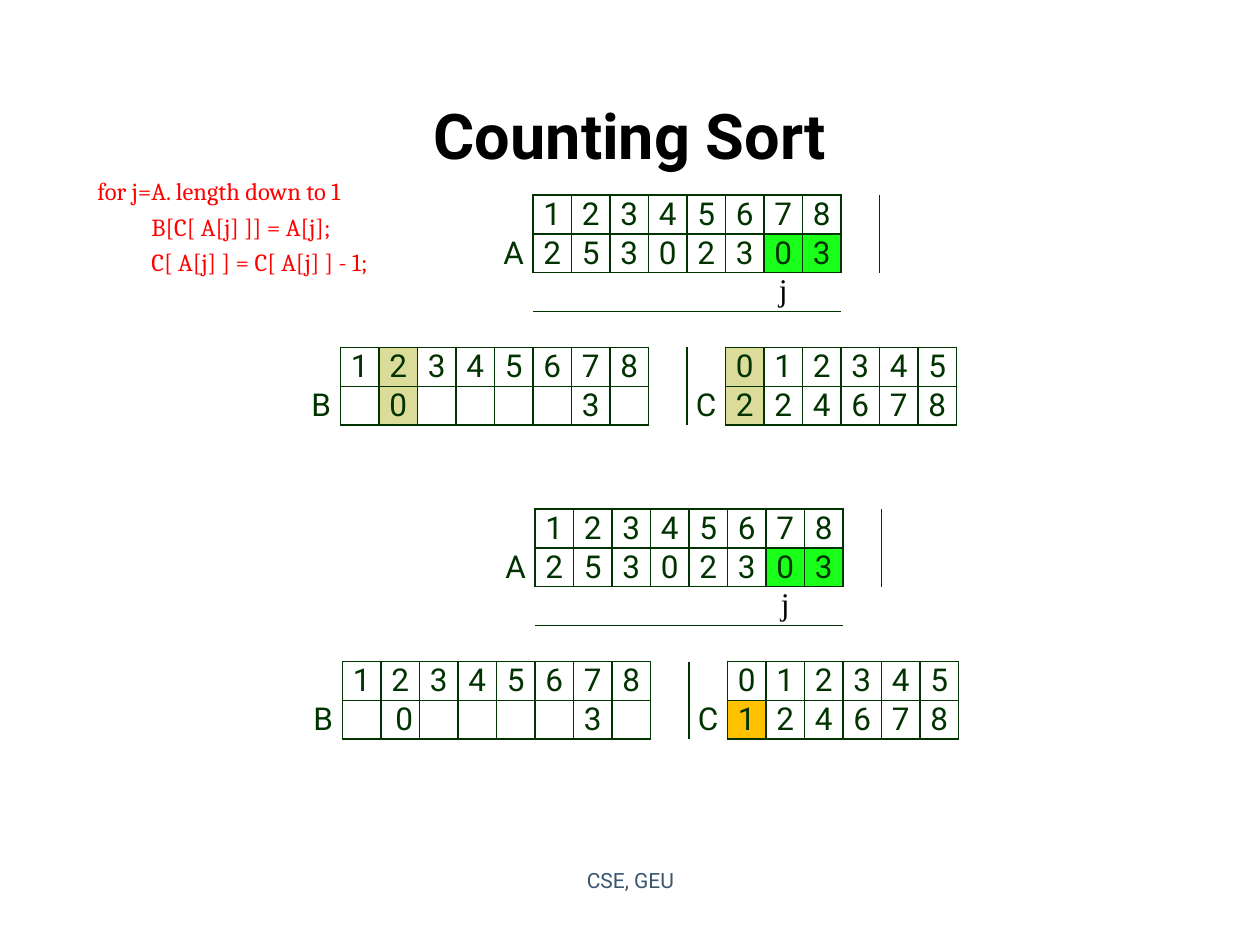
from dataclasses import dataclass

from lxml import etree
from pptx import Presentation
from pptx import util as u
from pptx.dml.color import RGBColor
from pptx.enum import text as t
from pptx.oxml.ns import qn


@dataclass(frozen=True)
class Theme:
    ink: str = "003300"
    black: str = "000000"
    code: str = "FF0000"
    foot: str = "3A566E"
    green: str = "1AFF1A"
    sand: str = "DCDC9A"
    gold: str = "FFC000"
    sans: str = "Roboto"
    serif: str = "Times New Roman"
    mono: str = "Cambria"
    head: int = 36
    cell: int = 18
    body: int = 14
    small: int = 12
    line: int = 1


TH = Theme()

TITLE = "Counting Sort"
CODE = [
    ("for j=A. length down to 1", 0),
    ("B[C[ A[j] ]] = A[j];", 1),
    ("C[ A[j] ] = C[ A[j] ] - 1;", 1),
]
FOOT = "CSE, GEU"

# Arrays: name, (row, column) of the first index, indices, values
A = ("A", (0, 6), "12345678", "25302303")
B = ("B", (4, 1), "12345678", ["", "0", "", "", "", "", "3", ""])
B_NEXT = (*B[:3], ["", " 0", "", "", "", "", "3", ""])
C = ("C", (4, 11), "012345", "224678")
C_NEXT = (*C[:3], "124678")
POINT = (2, 12)

DONE = {(1, 12): TH.green, (1, 13): TH.green}
STEPS = [
    dict(left=302, top=195, arrays=[A, B, C],
         fills={**DONE, (4, 2): TH.sand, (5, 2): TH.sand,
                (4, 11): TH.sand, (5, 11): TH.sand}),
    dict(left=304, top=509, arrays=[A, B_NEXT, C_NEXT],
         fills={**DONE, (5, 11): TH.gold}),
]
ROWS = [38, 38, 36, 36, 38, 38]
COLS = 17
WIDE = 655


def px(n):
    return u.Emu(round(n * 914400 / 126))


def write(par, words, size=TH.cell, font=TH.sans, color=TH.ink, bold=False,
          align=t.PP_ALIGN.CENTER):
    par.alignment = align
    run = par.add_run()
    run.text = words
    run.font.size = u.Pt(size)
    run.font.name = font
    run.font.bold = bold
    run.font.color.rgb = RGBColor.from_string(color)


def add_box(slide, x, y, w, h, anchor=t.MSO_ANCHOR.TOP):
    frame = slide.shapes.add_textbox(px(x), px(y), px(w), px(h)).text_frame
    frame.word_wrap = True
    frame.vertical_anchor = anchor
    return frame


def find_rules(arrays):
    """Grid lines of each array, plus one more line to its right and below."""
    rules = set()
    for _, (row, col), keys, _ in arrays:
        n = len(keys)
        rules |= {("v", r, c) for r in (row, row + 1)
                  for c in range(col, col + n + 2)}
        rules |= {("h", r, c) for r in range(row, row + 4)
                  for c in range(col, col + n)}
    return rules


def set_edges(cell, row, col, rules):
    sides = [("L", ("v", row, col)), ("R", ("v", row, col + 1)),
             ("T", ("h", row, col)), ("B", ("h", row + 1, col))]
    props = cell._tc.get_or_add_tcPr()
    for i, (side, rule) in enumerate(sides):
        line = etree.Element(qn("a:ln" + side), w=str(u.Pt(TH.line)))
        if rule in rules:
            fill = etree.SubElement(line, qn("a:solidFill"))
            etree.SubElement(fill, qn("a:srgbClr"), val=TH.ink)
        else:
            etree.SubElement(line, qn("a:noFill"))
        props.insert(i, line)


def add_step(slide, left, top, arrays, fills):
    words = {POINT: "j"}
    for name, (row, col), keys, vals in arrays:
        words[row + 1, col - 1] = name
        for i, (key, val) in enumerate(zip(keys, vals)):
            words[row, col + i] = key
            words[row + 1, col + i] = val
    rules = find_rules(arrays)

    table = slide.shapes.add_table(len(ROWS), COLS, px(left), px(top),
                                   px(WIDE), px(sum(ROWS))).table
    table.first_row = table.horz_banding = False
    for col in table.columns:
        col.width = px(WIDE / COLS)
    for r, high in enumerate(ROWS):
        table.rows[r].height = px(high)
        for c in range(COLS):
            cell = table.cell(r, c)
            cell.margin_left = cell.margin_right = cell.margin_top = px(1)
            cell.margin_bottom = 0
            if (r, c) in fills:
                cell.fill.solid()
                cell.fill.fore_color.rgb = RGBColor.from_string(fills[r, c])
            else:
                cell.fill.background()
            set_edges(cell, r, c, rules)
            par = cell.text_frame.paragraphs[0]
            if not words.get((r, c)):
                etree.SubElement(par._p, qn("a:endParaRPr"),
                                 sz=str(TH.small * 100))
            elif (r, c) == POINT:
                write(par, words[r, c], font=TH.serif, color=TH.black)
            else:
                write(par, words[r, c])


def add_code(slide):
    frame = add_box(slide, 84, 164, 1062, 117)
    for i, (words, level) in enumerate(CODE):
        par = frame.add_paragraph() if i else frame.paragraphs[0]
        par.line_spacing = 1.21
        par._p.get_or_add_pPr().set("marL", str(px(1 + 54 * level)))
        write(par, words, size=TH.body, font=TH.mono, color=TH.code,
              align=t.PP_ALIGN.LEFT)


def main():
    deck = Presentation()
    deck.slide_width, deck.slide_height = px(1260), px(945)
    slide = deck.slides.add_slide(deck.slide_layouts[6])
    title = add_box(slide, 63, 55, 1134, 158, t.MSO_ANCHOR.MIDDLE)
    write(title.paragraphs[0], TITLE, size=TH.head, color=TH.black, bold=True)
    for step in STEPS:
        add_step(slide, **step)
    add_code(slide)
    foot = add_box(slide, 431, 861, 399, 66)
    write(foot.paragraphs[0], FOOT, size=TH.small, color=TH.foot)
    deck.save("out.pptx")


if __name__ == "__main__":
    main()
